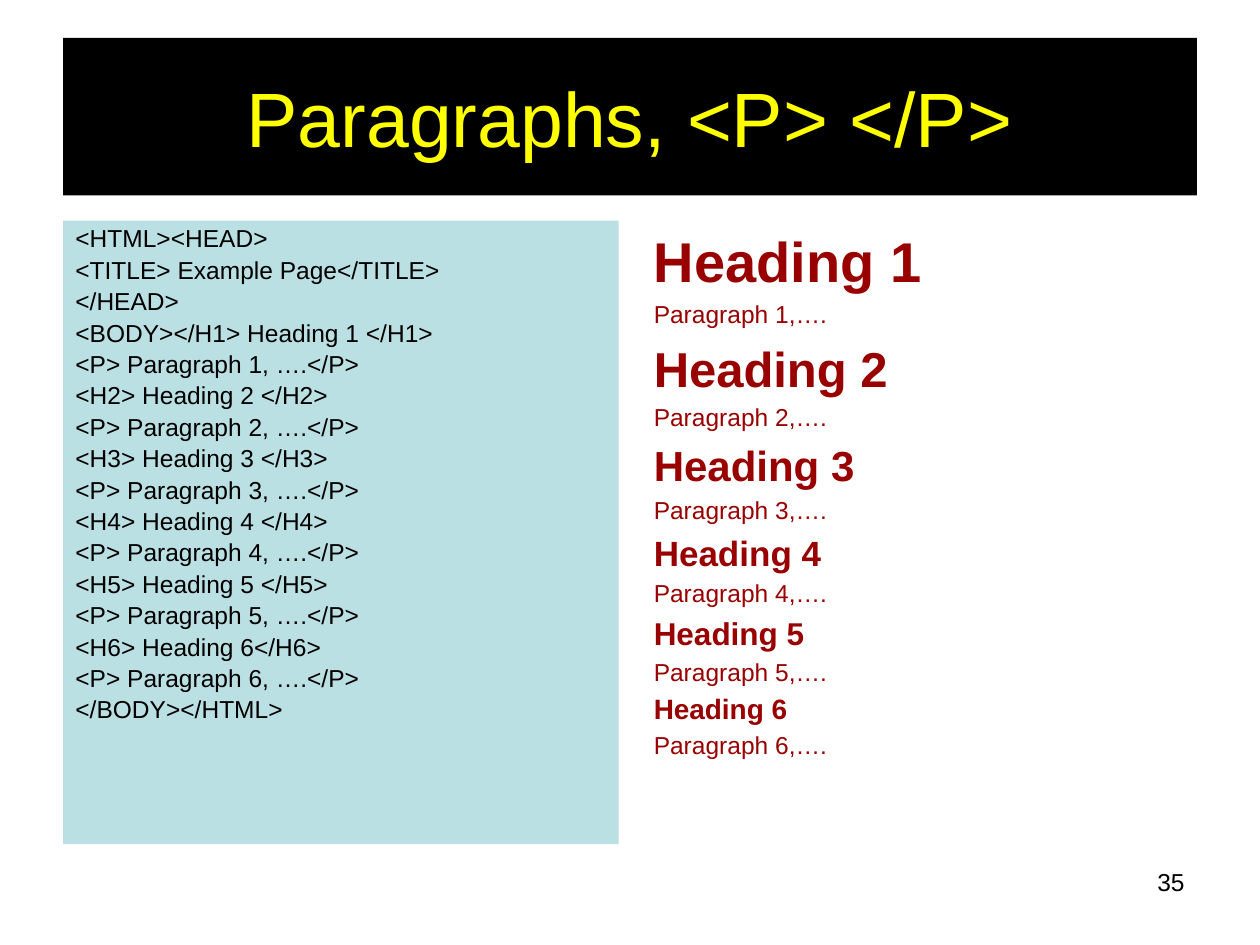
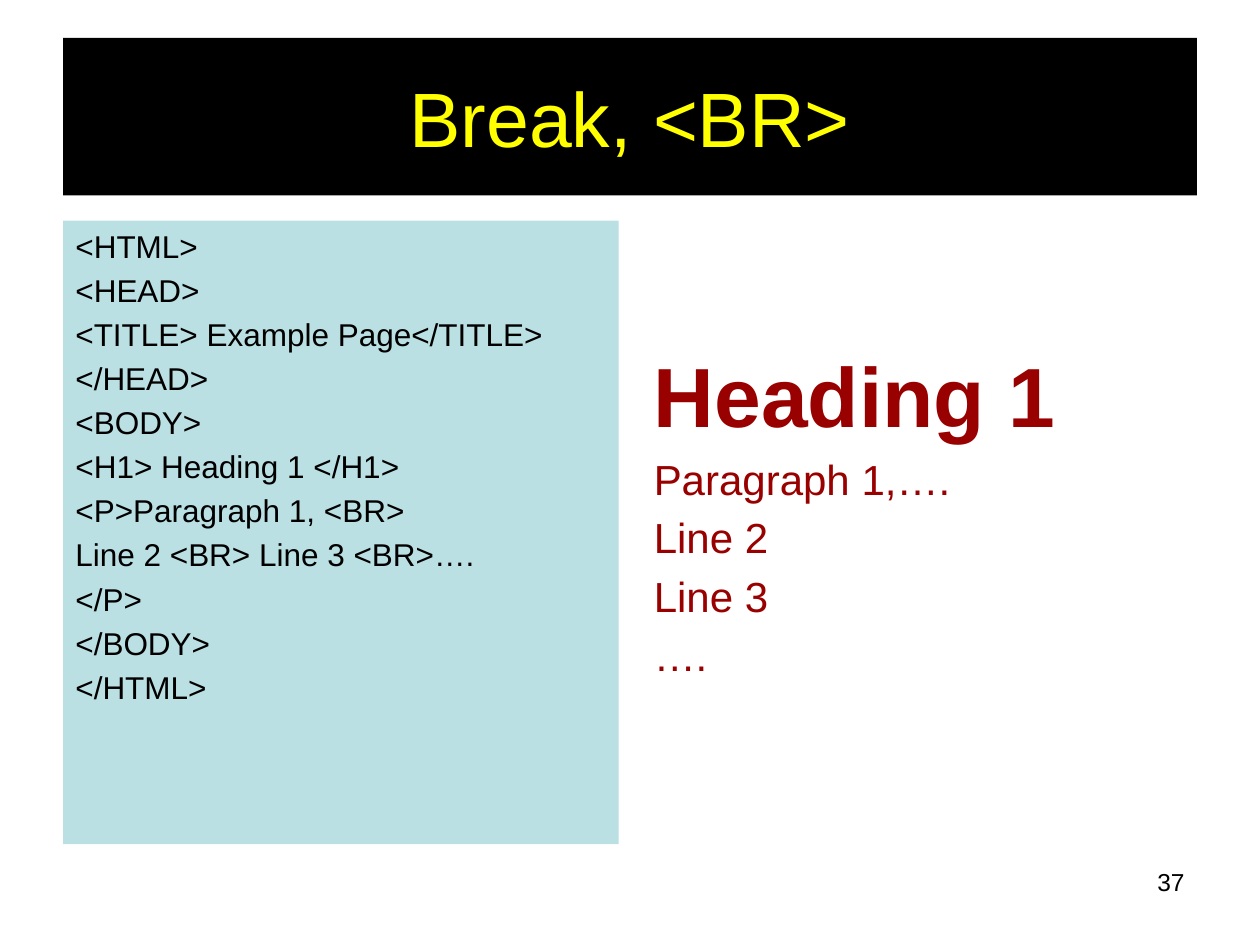
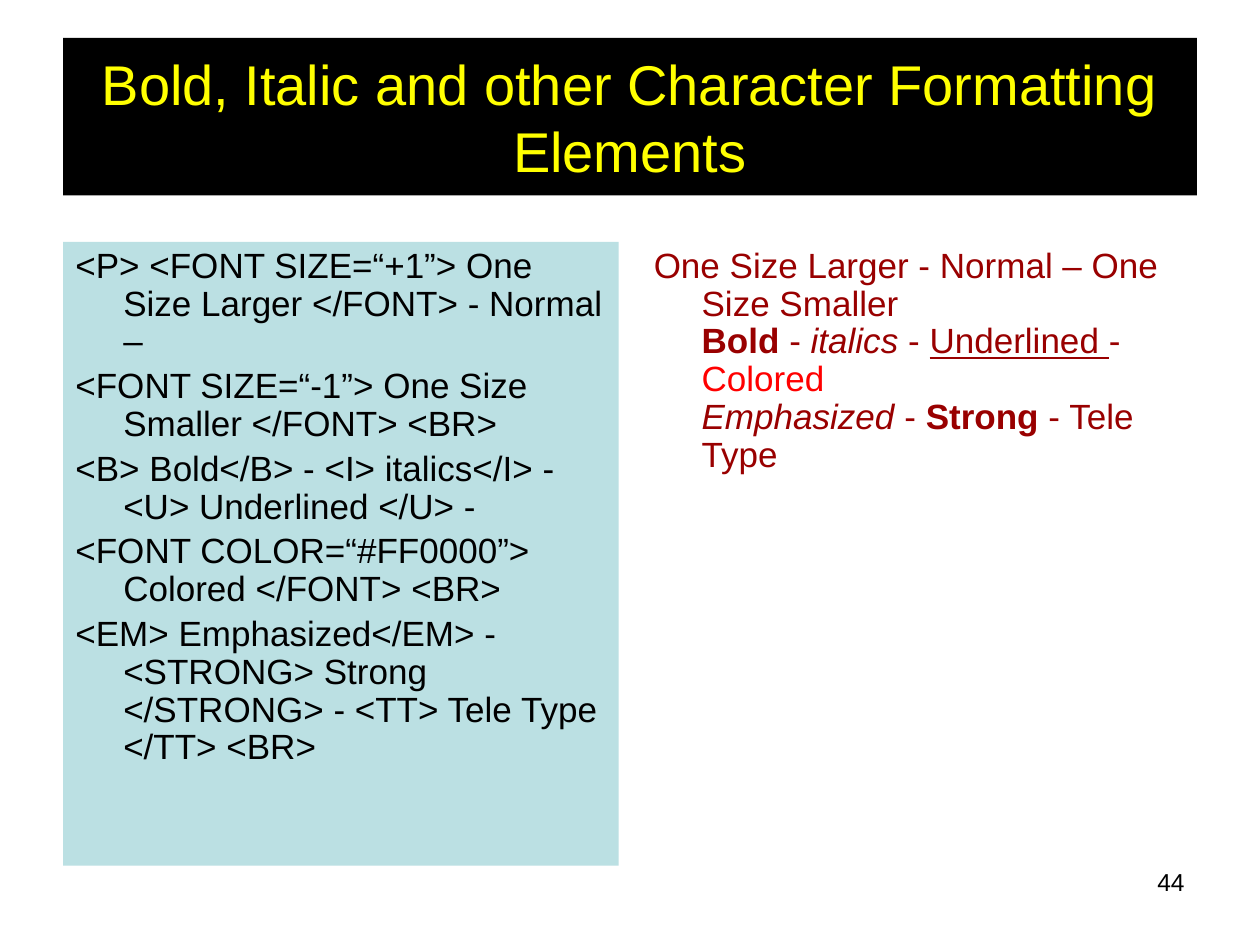
from dataclasses import dataclass

import pptx
import pptx.dml.color
import pptx.enum.text
import pptx.oxml
import pptx.oxml.ns
import pptx.util

EMU_PER_PX = 9144
FONT = "Arial"
BLACK, YELLOW, PALE_BLUE = "000000", "FFFF00", "BBE0E3"
DARK_RED, RED = "990000", "FF0000"
TITLE_ONLY = 5
HANGING_INDENT = 38
SPACE_BEFORE_PERCENT = 20
INSET_TOP = 5


@dataclass(frozen=True)
class Box:
    left: int
    top: int
    width: int
    height: int


@dataclass(frozen=True)
class Piece:
    text: str
    size: int
    color: str = DARK_RED
    bold: bool = False
    italic: bool = False
    underline: bool = False
    break_after: bool = False


Line = list[Piece]


@dataclass(frozen=True)
class Panel:
    box: Box
    lines: list[Line]
    fill: str | None = None
    line_spacing: float = 1.0
    inset_top: int = INSET_TOP


@dataclass(frozen=True)
class Lesson:
    title: str
    title_size: int
    number: int
    markup: Panel
    rendering: Panel


TITLE_BAND = Box(50, 30, 900, 125)
NUMBER_BOX = Box(717, 683, 233, 52)
PANEL_TOP, LOW_PANEL_TOP = 175, 192


def px(length: int) -> pptx.util.Emu:
    return pptx.util.Emu(length * EMU_PER_PX)


def rgb(color: str) -> pptx.dml.color.RGBColor:
    return pptx.dml.color.RGBColor.from_string(color)


def left_box(top: int) -> Box:
    return Box(50, top, 441, 495)


def right_box(top: int) -> Box:
    return Box(509, top, 441, 495)


def code(size: int, *texts: str) -> list[Line]:
    return [[Piece(text, size, BLACK)] for text in texts]


def format_run(run, piece: Piece) -> None:
    font = run.font
    font.name = FONT
    font.size = pptx.util.Pt(piece.size)
    font.color.rgb = rgb(piece.color)
    font.bold = piece.bold
    font.italic = piece.italic
    font.underline = piece.underline


def fill_shape(shape, color: str) -> None:
    shape.fill.solid()
    shape.fill.fore_color.rgb = rgb(color)


def format_paragraph(paragraph, line_spacing: float) -> None:
    paragraph.line_spacing = line_spacing
    paragraph.space_before = pptx.util.Pt(0)
    properties = paragraph._p.get_or_add_pPr()
    properties.set("marL", str(px(HANGING_INDENT)))
    properties.set("indent", str(-px(HANGING_INDENT)))
    before = properties.find(pptx.oxml.ns.qn("a:spcBef"))
    before.clear()
    percent = pptx.oxml.parse_xml(
        f'<a:spcPct {pptx.oxml.ns.nsdecls("a")} val="{SPACE_BEFORE_PERCENT * 1000}"/>'
    )
    before.append(percent)


def add_box(slide, box: Box):
    return slide.shapes.add_textbox(px(box.left), px(box.top), px(box.width), px(box.height))


def draw_panel(slide, panel: Panel) -> None:
    body = add_box(slide, panel.box)
    if panel.fill:
        fill_shape(body, panel.fill)
    frame = body.text_frame
    frame.word_wrap = True
    frame.margin_top = px(panel.inset_top)
    for index, line in enumerate(panel.lines):
        paragraph = frame.add_paragraph() if index else frame.paragraphs[0]
        format_paragraph(paragraph, panel.line_spacing)
        for piece in line:
            run = paragraph.add_run()
            run.text = piece.text
            format_run(run, piece)
            if piece.break_after:
                paragraph.add_line_break()


def draw_title(slide, text: str, size: int) -> None:
    title = slide.shapes.title
    title.left, title.top = px(TITLE_BAND.left), px(TITLE_BAND.top)
    title.width, title.height = px(TITLE_BAND.width), px(TITLE_BAND.height)
    fill_shape(title, BLACK)
    frame = title.text_frame
    frame.text = text
    frame.word_wrap = True
    frame.auto_size = pptx.enum.text.MSO_AUTO_SIZE.NONE
    frame.vertical_anchor = pptx.enum.text.MSO_ANCHOR.MIDDLE
    paragraph = frame.paragraphs[0]
    paragraph.alignment = pptx.enum.text.PP_ALIGN.CENTER
    format_run(paragraph.runs[0], Piece(text, size, YELLOW))


def draw_number(slide, number: int) -> None:
    frame = add_box(slide, NUMBER_BOX).text_frame
    frame.word_wrap = True
    frame.text = str(number)
    paragraph = frame.paragraphs[0]
    paragraph.alignment = pptx.enum.text.PP_ALIGN.RIGHT
    format_run(paragraph.runs[0], Piece(frame.text, 14, BLACK))


def draw_lesson(presentation, lesson: Lesson) -> None:
    slide = presentation.slides.add_slide(presentation.slide_layouts[TITLE_ONLY])
    draw_number(slide, lesson.number)
    draw_title(slide, lesson.title, lesson.title_size)
    draw_panel(slide, lesson.markup)
    draw_panel(slide, lesson.rendering)


HEADING_SIZES = [32, 28, 24, 20, 18, 16]
HEADINGS_AND_PARAGRAPHS = [
    line
    for level, size in enumerate(HEADING_SIZES, start=1)
    for line in (
        [Piece(f"Heading {level}", size, bold=True)],
        [Piece(f"Paragraph {level},….", 14)],
    )
]

LESSONS = [
    Lesson(
        "Paragraphs, <P> </P>", 44, 35,
        Panel(
            left_box(PANEL_TOP),
            code(
                14,
                "<HTML><HEAD>",
                "<TITLE> Example Page</TITLE>",
                "</HEAD>",
                "<BODY></H1> Heading 1 </H1>",
                "<P> Paragraph 1, ….</P>",
                "<H2> Heading 2 </H2>",
                "<P> Paragraph 2, ….</P>",
                "<H3> Heading 3 </H3>",
                "<P> Paragraph 3, ….</P>",
                "<H4> Heading 4 </H4>",
                "<P> Paragraph 4, ….</P>",
                "<H5> Heading 5 </H5>",
                "<P> Paragraph 5, ….</P>",
                "<H6> Heading 6</H6>",
                "<P> Paragraph 6, ….</P>",
                "</BODY></HTML>",
            ),
            PALE_BLUE, 0.9,
        ),
        Panel(right_box(PANEL_TOP), HEADINGS_AND_PARAGRAPHS),
    ),
    Lesson(
        "Break, <BR>", 44, 37,
        Panel(
            left_box(PANEL_TOP),
            code(
                18,
                "<HTML>",
                "<HEAD>",
                "<TITLE> Example Page</TITLE>",
                "</HEAD>",
                "<BODY>",
                "<H1> Heading 1 </H1>",
                "<P>Paragraph 1, <BR>",
                "Line 2 <BR> Line 3 <BR>….",
                "</P>",
                "</BODY>",
                "</HTML>",
            ),
            PALE_BLUE,
        ),
        Panel(
            right_box(PANEL_TOP),
            [[Piece("Heading 1", 48, bold=True)]]
            + [[Piece(text, 24)] for text in ("Paragraph 1,….", "Line 2", "Line 3", "….")],
            inset_top=98,
        ),
    ),
    Lesson(
        "Bold, Italic and other Character Formatting Elements", 32, 44,
        Panel(
            left_box(LOW_PANEL_TOP),
            code(
                20,
                "<P> <FONT SIZE=“+1”> One Size Larger </FONT> - Normal –",
                "<FONT SIZE=“-1”> One Size Smaller </FONT> <BR>",
                "<B> Bold</B> - <I> italics</I> - <U> Underlined </U> -",
                "<FONT COLOR=“#FF0000”> Colored </FONT> <BR>",
                "<EM> Emphasized</EM> - <STRONG> Strong </STRONG> - <TT> Tele Type </TT> <BR>",
            ),
            PALE_BLUE, 0.9,
        ),
        Panel(
            right_box(LOW_PANEL_TOP),
            [[
                Piece("One Size Larger - Normal – One Size Smaller ", 20, break_after=True),
                Piece("Bold", 20, bold=True),
                Piece(" - ", 20),
                Piece("italics", 20, italic=True),
                Piece(" - ", 20),
                Piece("Underlined ", 20, underline=True),
                Piece("- ", 20),
                Piece("Colored ", 20, RED, break_after=True),
                Piece("Emphasized", 20, italic=True),
                Piece(" - ", 20),
                Piece("Strong ", 20, bold=True),
                Piece("- Tele Type", 20),
            ]],
            line_spacing=0.9,
        ),
    ),
]


def main() -> None:
    presentation = pptx.Presentation()
    presentation.slide_width, presentation.slide_height = px(1000), px(750)
    for lesson in LESSONS:
        draw_lesson(presentation, lesson)
    presentation.save("out.pptx")


if __name__ == "__main__":
    main()
